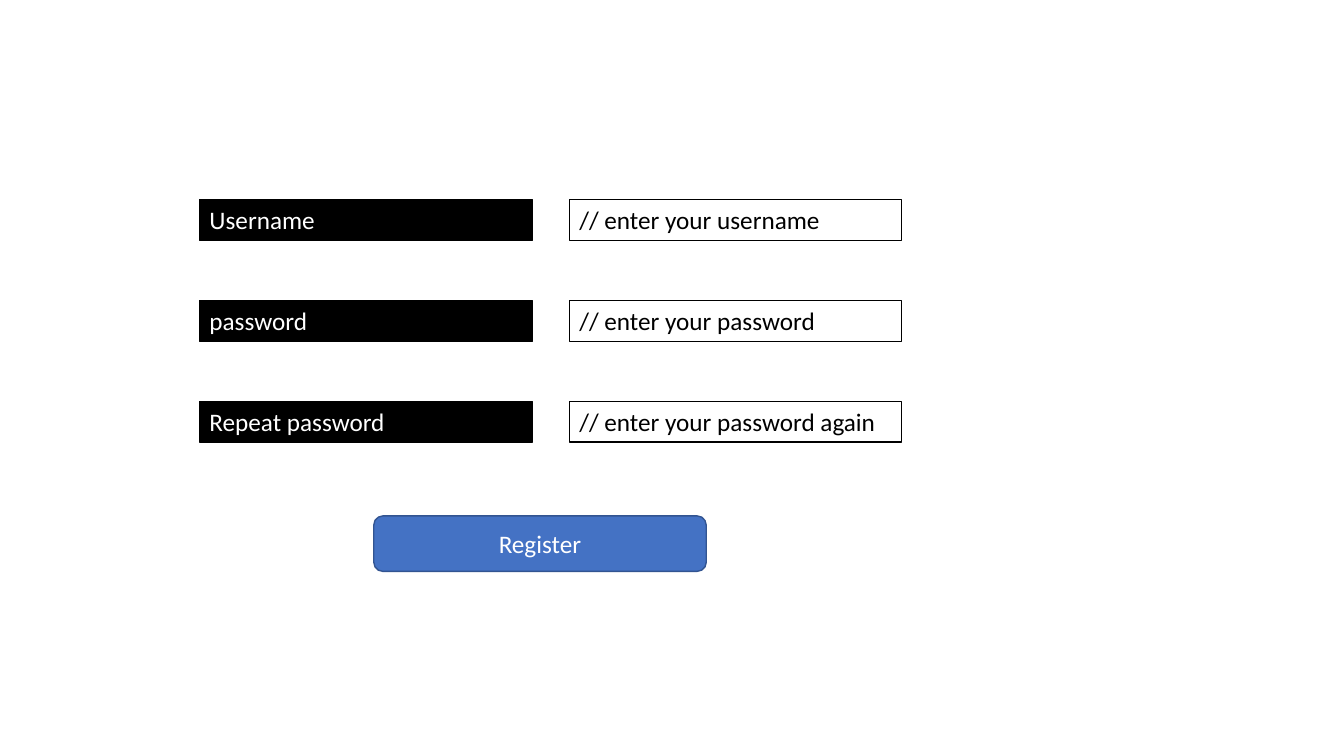
from dataclasses import dataclass

from pptx import Presentation
from pptx import util as u
from pptx.dml.color import RGBColor
from pptx.enum import shapes, text


@dataclass(frozen=True)
class Theme:
    """Colours and type of the form."""
    font: str = "Calibri"
    size: int = 18
    black: str = "000000"
    white: str = "FFFFFF"
    blue: str = "4472C4"
    navy: str = "325491"


class FormSlide:
    """Draws form elements on one slide in one theme."""

    def __init__(self, slide, theme):
        self.slide = slide
        self.theme = theme

    def style(self, sp, fill, line, width):
        sp.fill.solid()
        sp.fill.fore_color.rgb = RGBColor.from_string(fill)
        sp.line.color.rgb = RGBColor.from_string(line)
        sp.line.width = u.Pt(width)

    def add_words(self, sp, words, color, align):
        p = sp.text_frame.paragraphs[0]
        p.alignment = align
        r = p.add_run()
        r.text = words
        r.font.name = self.theme.font
        r.font.size = u.Pt(self.theme.size)
        r.font.color.rgb = RGBColor.from_string(color)

    def field(self, words, left, top, width, fill, color):
        sp = self.slide.shapes.add_textbox(
            u.Cm(left), u.Cm(top), u.Cm(width), u.Cm(1.03))
        tf = sp.text_frame
        tf.word_wrap = True
        tf.auto_size = text.MSO_AUTO_SIZE.SHAPE_TO_FIT_TEXT
        self.style(sp, fill, self.theme.black, 0.75)
        self.add_words(sp, words, color, text.PP_ALIGN.LEFT)

    def button(self, words, left, top, width, height):
        sp = self.slide.shapes.add_shape(
            shapes.MSO_SHAPE.ROUNDED_RECTANGLE,
            u.Cm(left), u.Cm(top), u.Cm(width), u.Cm(height))
        sp.shadow.inherit = False
        sp.text_frame.vertical_anchor = text.MSO_ANCHOR.MIDDLE
        self.style(sp, self.theme.blue, self.theme.navy, 1)
        self.add_words(sp, words, self.theme.white, text.PP_ALIGN.CENTER)


def main():
    prs = Presentation()
    prs.slide_width, prs.slide_height = u.Cm(33.87), u.Cm(19.05)
    theme = Theme()
    form = FormSlide(prs.slides.add_slide(prs.slide_layouts[6]), theme)

    width, first_top, pitch = 8.38, 5.03, 2.54
    rows = [
        ("Username", "// enter your username"),
        ("password", "// enter your password"),
        ("Repeat password", "// enter your password again"),
    ]
    for i, (label, hint) in enumerate(rows):
        top = first_top + i * pitch
        form.field(label, 5.03, top, width, theme.black, theme.white)
        form.field(hint, 14.35, top, width, theme.white, theme.black)
    form.button("Register", 9.42, 13, width, 1.4)

    prs.save("out.pptx")


if __name__ == "__main__":
    main()
